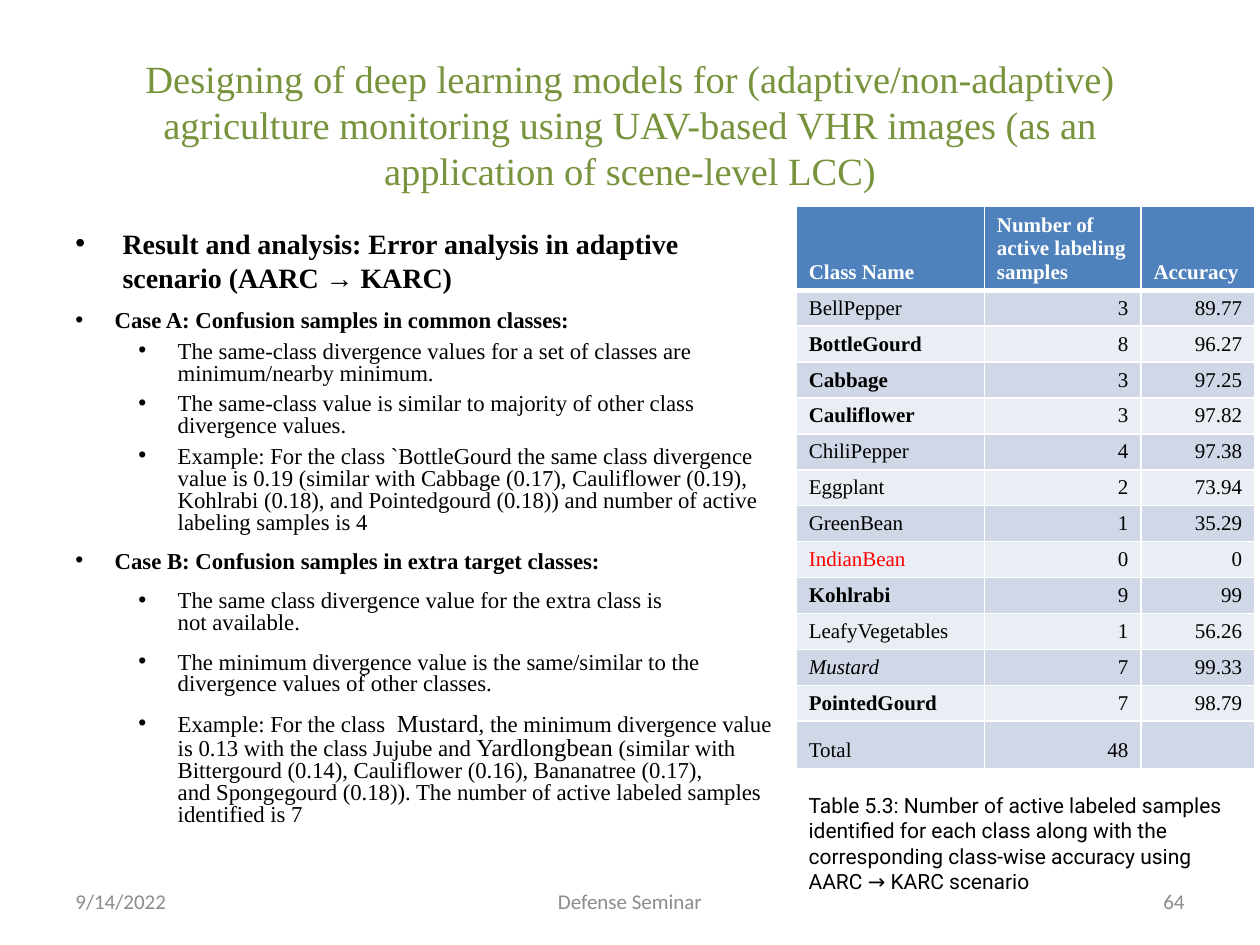
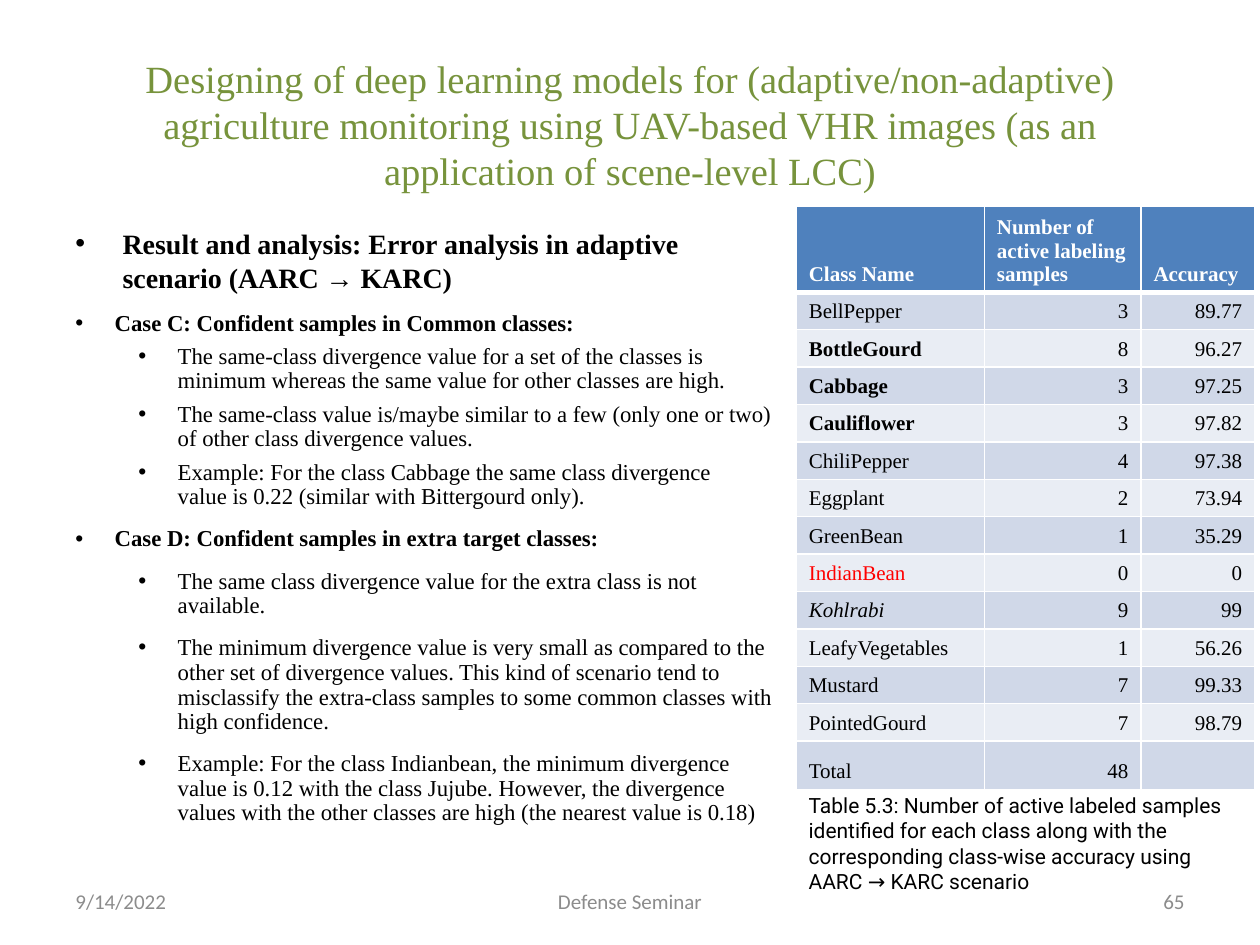
from lxml.etree import SubElement
from pptx import Presentation
from pptx.dml.color import RGBColor
from pptx.enum.text import MSO_ANCHOR, PP_ALIGN
from pptx.oxml.ns import qn
from pptx.util import Pt

GREEN = RGBColor(0x77, 0x93, 0x3C)
BLACK = RGBColor(0, 0, 0)
WHITE = RGBColor(255, 255, 255)
RED = RGBColor(255, 0, 0)
GREY = RGBColor(0x8C, 0x8C, 0x8C)
HEADER_BLUE = RGBColor(0x4F, 0x81, 0xBD)
BANDS = [RGBColor(0xE9, 0xED, 0xF4), RGBColor(0xD0, 0xD8, 0xE8)]
SERIF = "Times New Roman"
NBSP = chr(160)  # keeps two words on one line

TITLE = ("Designing of deep learning models for (adaptive/non-adaptive) agriculture "
         "monitoring using UAV-based VHR images (as an application of scene-level LCC)")
HEADING = "Result and analysis: Error analysis in adaptive scenario (AARC → KARC)"
CAPTION = ("Table 5.3: Number of active labeled samples identified for each class along with "
           "the corresponding class-wise accuracy using AARC → KARC scenario")

RESULTS = [
    ("Class Name", "Number of active labeling samples", "Accuracy"),
    ("BellPepper", "3", "89.77"),
    ("BottleGourd", "8", "96.27"),
    ("Cabbage", "3", "97.25"),
    ("Cauliflower", "3", "97.82"),
    ("ChiliPepper", "4", "97.38"),
    ("Eggplant", "2", "73.94"),
    ("GreenBean", "1", "35.29"),
    ("IndianBean", "0", "0"),
    ("Kohlrabi", "9", "99"),
    ("LeafyVegetables", "1", "56.26"),
    ("Mustard", "7", "99.33"),
    ("PointedGourd", "7", "98.79"),
    ("Total", "48", ""),
]
COLUMN_WIDTHS = [107.5, 89.5, 65]

# Each case: its heading, the space before its points, and the points as (text, size) runs
SLIDES = [
    {
        "number": "64",
        "line_spacing": 0.8,
        "row_heights": [47] + [20.55] * 12 + [27],
        "bold": {"BottleGourd", "Cabbage", "Cauliflower", "Kohlrabi", "PointedGourd"},
        "italic": {"Mustard"},
        "cases": [
            ("Case A: Confusion samples in common classes:", 5, [
                [("The same-class divergence values for a set of classes are "
                  "minimum/nearby minimum.", 13)],
                [("The same-class value is similar to majority of other class "
                  "divergence values.", 13)],
                [("Example: For the class `BottleGourd the same class divergence "
                  "value is 0.19 (similar with Cabbage (0.17), Cauliflower (0.19), "
                  "Kohlrabi (0.18), and Pointedgourd (0.18)) and number of active "
                  "labeling samples is 4", 13)],
            ]),
            ("Case B: Confusion samples in extra target classes:", 10, [
                [("The same class divergence value for the extra class is "
                  f"not{NBSP}available.", 13)],
                [("The minimum divergence value is the same/similar to the "
                  "divergence values of other classes.", 13)],
                [("Example: For the class ", 13),
                 (" Mustard", 14),
                 (", the minimum divergence value is 0.13 with the class Jujube and ", 13),
                 ("Yardlongbean", 14),
                 (" (similar with Bittergourd (0.14), Cauliflower (0.16), "
                  f"Bananatree (0.17), and{NBSP}Spongegourd (0.18)). The number of active "
                  "labeled samples identified is 7", 13)],
            ]),
        ],
    },
    {
        "number": "65",
        "line_spacing": 0.9,
        "row_heights": [49] + [21.4] * 12 + [27.6],
        "bold": {"BottleGourd", "Cabbage", "Cauliflower"},
        "italic": {"Kohlrabi"},
        "cases": [
            ("Case C: Confident samples in Common classes:", 5, [
                [("The same-class divergence value for a set of the classes is "
                  "minimum whereas the same value for other classes are high.", 13)],
                [("The same-class value is/maybe similar to a few (only one or two) "
                  "of other class divergence values.", 13)],
                [("Example: For the class Cabbage the same class divergence "
                  f"value{NBSP}is{NBSP}0.22 (similar with Bittergourd only).", 13)],
            ]),
            ("Case D: Confident samples in extra target classes:", 10, [
                [("The same class divergence value for the extra class is not "
                  "available.", 13)],
                [("The minimum divergence value is very small as compared to the "
                  "other set of divergence values. This kind of scenario tend to "
                  "misclassify the extra-class samples to some common classes with "
                  "high confidence.", 13)],
                [("Example: For the class Indianbean, the minimum divergence "
                  "value is 0.12 with the class Jujube. However, the divergence "
                  "values with the other classes are high (the nearest "
                  "value is 0.18)", 13)],
            ]),
        ],
    },
]


def add_run(paragraph, text, size, color=BLACK, font=SERIF, bold=False, italic=False):
    run = paragraph.add_run()
    run.text = text
    run.font.size = Pt(size)
    run.font.name = font
    run.font.color.rgb = color
    run.font.bold = bold
    run.font.italic = italic


def set_bullet(paragraph, left, hanging):
    properties = paragraph._p.get_or_add_pPr()
    properties.set("marL", str(Pt(left)))
    properties.set("indent", str(-Pt(hanging)))
    SubElement(properties, qn("a:buFont"), typeface="Arial")
    SubElement(properties, qn("a:buChar"), char="•")


prs = Presentation()
prs.slide_width = Pt(720)
prs.slide_height = Pt(540)

for content in SLIDES:
    slide = prs.slides.add_slide(prs.slide_layouts[6])

    # Case analysis
    analysis = slide.shapes.add_textbox(Pt(36), Pt(126), Pt(412.5), Pt(368.5)).text_frame
    analysis.word_wrap = True
    set_bullet(analysis.paragraphs[0], 27, 27)
    add_run(analysis.paragraphs[0], HEADING, 16, bold=True)
    for case, point_gap, points in content["cases"]:
        case_line = analysis.add_paragraph()
        set_bullet(case_line, 22.5, 22.5)
        case_line.line_spacing = content["line_spacing"]
        case_line.space_before = Pt(10)
        add_run(case_line, case, 13, bold=True)
        for runs in points:
            point = analysis.add_paragraph()
            point.level = 1
            set_bullet(point, 58.5, 22.5)
            point.line_spacing = content["line_spacing"]
            point.space_before = Pt(point_gap)
            for text, size in runs:
                add_run(point, text, size)

    # Class-wise results, ending above the caption
    heights = content["row_heights"]
    results = slide.shapes.add_table(len(RESULTS), 3, Pt(455), Pt(118), Pt(262),
                                     Pt(sum(heights))).table
    results.horz_banding = False
    for column, width in zip(results.columns, COLUMN_WIDTHS):
        column.width = Pt(width)
    for r, values in enumerate(RESULTS):
        results.rows[r].height = Pt(heights[r])
        for c, value in enumerate(values):
            cell = results.cell(r, c)
            cell.vertical_anchor = MSO_ANCHOR.BOTTOM
            cell.margin_top = Pt(1)
            cell.margin_bottom = Pt(3.6)
            for side in ("L", "R", "T", "B"):
                under_header = (r, side) in [(0, "B"), (1, "T")]
                border = SubElement(cell._tc.get_or_add_tcPr(), qn(f"a:ln{side}"),
                                    w=str(Pt(3 if under_header else 1)))
                SubElement(SubElement(border, qn("a:solidFill")), qn("a:srgbClr"), val=str(WHITE))
            cell.fill.solid()
            cell.fill.fore_color.rgb = BANDS[r % 2] if r else HEADER_BLUE
            if not value:
                continue
            paragraph = cell.text_frame.paragraphs[0]
            paragraph.alignment = PP_ALIGN.RIGHT if r and c else PP_ALIGN.LEFT
            color = WHITE if r == 0 else RED if value == "IndianBean" else BLACK
            add_run(paragraph, value, 12, color, bold=r == 0 or value in content["bold"],
                    italic=value in content["italic"])

    # Title, footers and table caption
    middle, top = MSO_ANCHOR.MIDDLE, MSO_ANCHOR.TOP
    for text, box, align, anchor, size, color, font in [
        (TITLE, (36, 30, 648, 81.5), PP_ALIGN.CENTER, middle, 22, GREEN, SERIF),
        ("9/14/2022", (36, 500.5, 168, 28.75), PP_ALIGN.LEFT, middle, 12, GREY, "Calibri"),
        ("Defense Seminar", (246, 500.5, 228, 28.75), PP_ALIGN.CENTER, middle, 12, GREY, "Calibri"),
        (content["number"], (516, 500.5, 168, 28.75), PP_ALIGN.RIGHT, middle, 12, GREY, "Calibri"),
        (CAPTION, (455, 449.5, 262, 80), PP_ALIGN.LEFT, top, 12, BLACK, "Roboto"),
    ]:
        frame = slide.shapes.add_textbox(*map(Pt, box)).text_frame
        frame.word_wrap = True
        frame.vertical_anchor = anchor
        frame.paragraphs[0].alignment = align
        add_run(frame.paragraphs[0], text, size, color, font)

prs.save("out.pptx")
